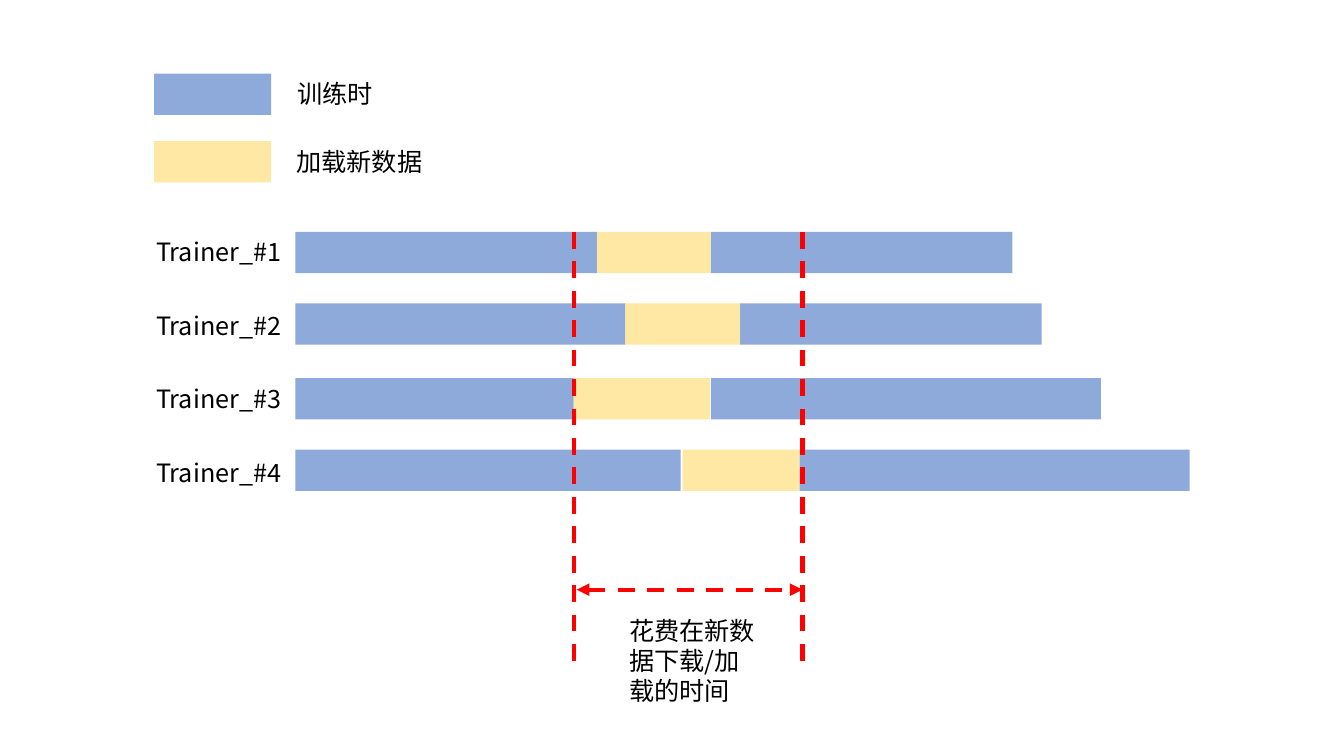
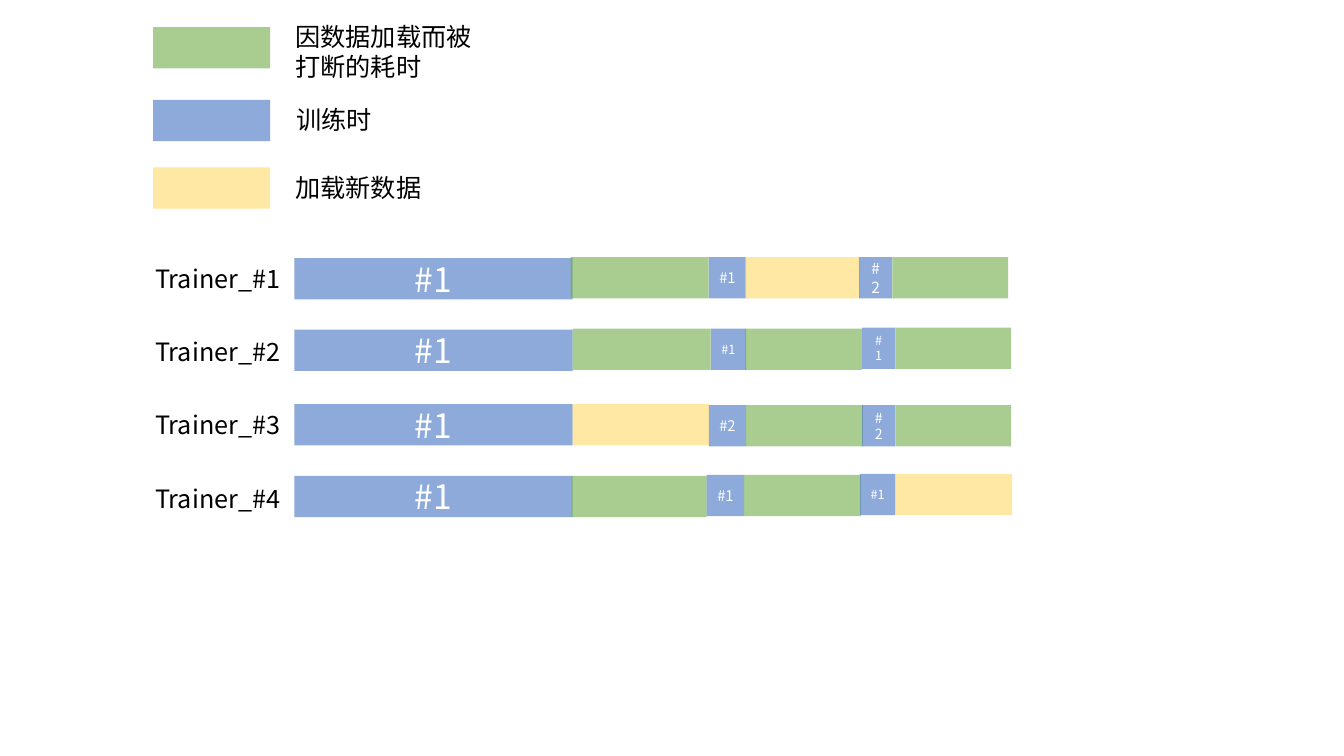
import collections

import pptx
import pptx.dml.color
import pptx.enum.dml
import pptx.enum.shapes
import pptx.enum.text
import pptx.oxml.ns
import pptx.util
from lxml import etree

PX = 9144
FONT = "Noto Sans CJK SC"
COLORS = {
    "train": "4472C4",
    "load": "FFD966",
    "wait": "70AD47",
    "mark": "FF0000",
    "text": "000000",
    "bar_text": "FFFFFF",
}
BAR_H = 41
LABEL_W, LABEL_H = 148, 40
SWATCH_W = 116
ROW_TOPS = (0, 71, 145, 216)
LABEL_TOPS = (0, 73, 145, 219)

Bar = collections.namedtuple("Bar", "kind start width dy text size", defaults=(0, "", 18))

UNEVEN_ROWS = [
    [Bar("train", 0, 299), Bar("load", 299, 113), Bar("train", 412, 299)],
    [Bar("train", 0, 327), Bar("load", 327, 114), Bar("train", 441, 299)],
    [Bar("train", 0, 276), Bar("load", 276, 135), Bar("train", 412, 387)],
    [Bar("train", 0, 382), Bar("load", 384, 116), Bar("train", 500, 387)],
]
FIRST_BAR = Bar("train", 0, 276, 0, "#1", 24)
INTERRUPTED_ROWS = [
    [FIRST_BAR, Bar("wait", 274, 137, -1), Bar("train", 411, 37, -1, "#1", 10.5),
     Bar("load", 447, 114, -1), Bar("train", 560, 33, -1, "#2", 11), Bar("wait", 593, 115, -1)],
    [FIRST_BAR, Bar("wait", 276, 137, -1), Bar("train", 413, 35, -1, "#1", 9),
     Bar("wait", 447, 116, -1), Bar("train", 563, 33, -2, "#1", 9), Bar("wait", 596, 115, -2)],
    [FIRST_BAR, Bar("load", 276, 135), Bar("train", 411, 37, 1, "#2", 10.5),
     Bar("wait", 448, 116, 1), Bar("train", 563, 33, 1, "#2", 10), Bar("wait", 596, 115, 1)],
    [FIRST_BAR, Bar("wait", 275, 134), Bar("train", 409, 37, -1, "#1", 10.5),
     Bar("wait", 446, 116, -1), Bar("train", 561, 35, -2, "#1", 9), Bar("load", 596, 116, -2)],
]


def px(*values):
    return [pptx.util.Emu(v * PX) for v in values]


def rgb(name):
    return pptx.dml.color.RGBColor.from_string(COLORS[name])


def add_xml(parent, tag, **attrs):
    return etree.SubElement(parent, pptx.oxml.ns.qn(tag), attrs)


def write(tf, text, size=18, color="text", align=None):
    tf.word_wrap = True
    p = tf.paragraphs[0]
    p.alignment = align
    r = p.add_run()
    r.text = text
    r.font.size = pptx.util.Pt(size)
    r.font.color.rgb = rgb(color)
    r.font.name = FONT
    add_xml(r.font._element, "a:ea", typeface=FONT)


def add_label(s, x, y, w, h, text):
    tf = s.shapes.add_textbox(*px(x, y, w, h)).text_frame
    write(tf, text)
    tf.auto_size = pptx.enum.text.MSO_AUTO_SIZE.SHAPE_TO_FIT_TEXT


def add_bar(s, x, y, w, kind, text="", size=18):
    sp = s.shapes.add_shape(pptx.enum.shapes.MSO_SHAPE.RECTANGLE, *px(x, y, w, BAR_H))
    sp.shadow.inherit = False
    sp.fill.solid()
    sp.fill.fore_color.rgb = rgb(kind)
    add_xml(sp._element.spPr.find(".//" + pptx.oxml.ns.qn("a:srgbClr")), "a:alpha", val="60000")
    sp.line.fill.background()
    if text:
        sp.text_frame.vertical_anchor = pptx.enum.text.MSO_ANCHOR.MIDDLE
        write(sp.text_frame, text, size, "bar_text", pptx.enum.text.PP_ALIGN.CENTER)


def add_dash(s, x1, y1, x2, y2, arrows=False):
    line = s.shapes.add_connector(pptx.enum.shapes.MSO_CONNECTOR.STRAIGHT, *px(x1, y1, x2, y2))
    line.line.color.rgb = rgb("mark")
    line.line.width = pptx.util.Pt(3)
    line.line.dash_style = pptx.enum.dml.MSO_LINE.DASH
    if arrows:
        for tag in ("a:headEnd", "a:tailEnd"):
            add_xml(line.line._get_or_add_ln(), tag, type="triangle")
    add_xml(line._element.spPr, "a:effectLst")


def add_legend_entry(s, x, y, kind, text, text_dx=131, text_dy=0, w=LABEL_W, h=LABEL_H):
    add_bar(s, x, y, SWATCH_W, kind)
    add_label(s, x + text_dx, y + text_dy, w, h, text)


def add_legend(s, x, y):
    add_legend_entry(s, x, y, "train", "训练时", text_dx=132)
    add_legend_entry(s, x, y + 67, "load", "加载新数据")


def add_timeline(s, x, y, rows):
    for i, bars in enumerate(rows):
        add_label(s, x - LABEL_W, y + LABEL_TOPS[i], LABEL_W, LABEL_H, f"Trainer_#{i + 1}")
        for bar in bars:
            add_bar(s, x + bar.start, y + ROW_TOPS[i] + bar.dy, bar.width,
                    bar.kind, bar.text, bar.size)


def add_span(s, x, y, w, h, text):
    for edge in (x, x + w):
        add_dash(s, edge, y, edge, y + h)
    add_dash(s, x + 3, y + 355, x + w, y + 355, arrows=True)
    add_label(s, x + 45, y + 375, LABEL_W, 101, text)


def add_uneven_slide(prs):
    s = prs.slides.add_slide(prs.slide_layouts[6])
    add_timeline(s, 293, 230, UNEVEN_ROWS)
    add_legend(s, 153, 73)
    add_span(s, 569, 230, 227, 430, "花费在新数据下载/加载的时间")


def add_interrupted_slide(prs):
    s = prs.slides.add_slide(prs.slide_layouts[6])
    add_timeline(s, 292, 256, INTERRUPTED_ROWS)
    add_legend(s, 152, 99)
    add_legend_entry(s, 152, 27, "wait", "因数据加载而被打断的耗时", text_dy=-11, w=205, h=71)


def main():
    prs = pptx.Presentation()
    prs.slide_width, prs.slide_height = px(1333, 750)
    add_uneven_slide(prs)
    add_interrupted_slide(prs)
    prs.save("out.pptx")


if __name__ == "__main__":
    main()
